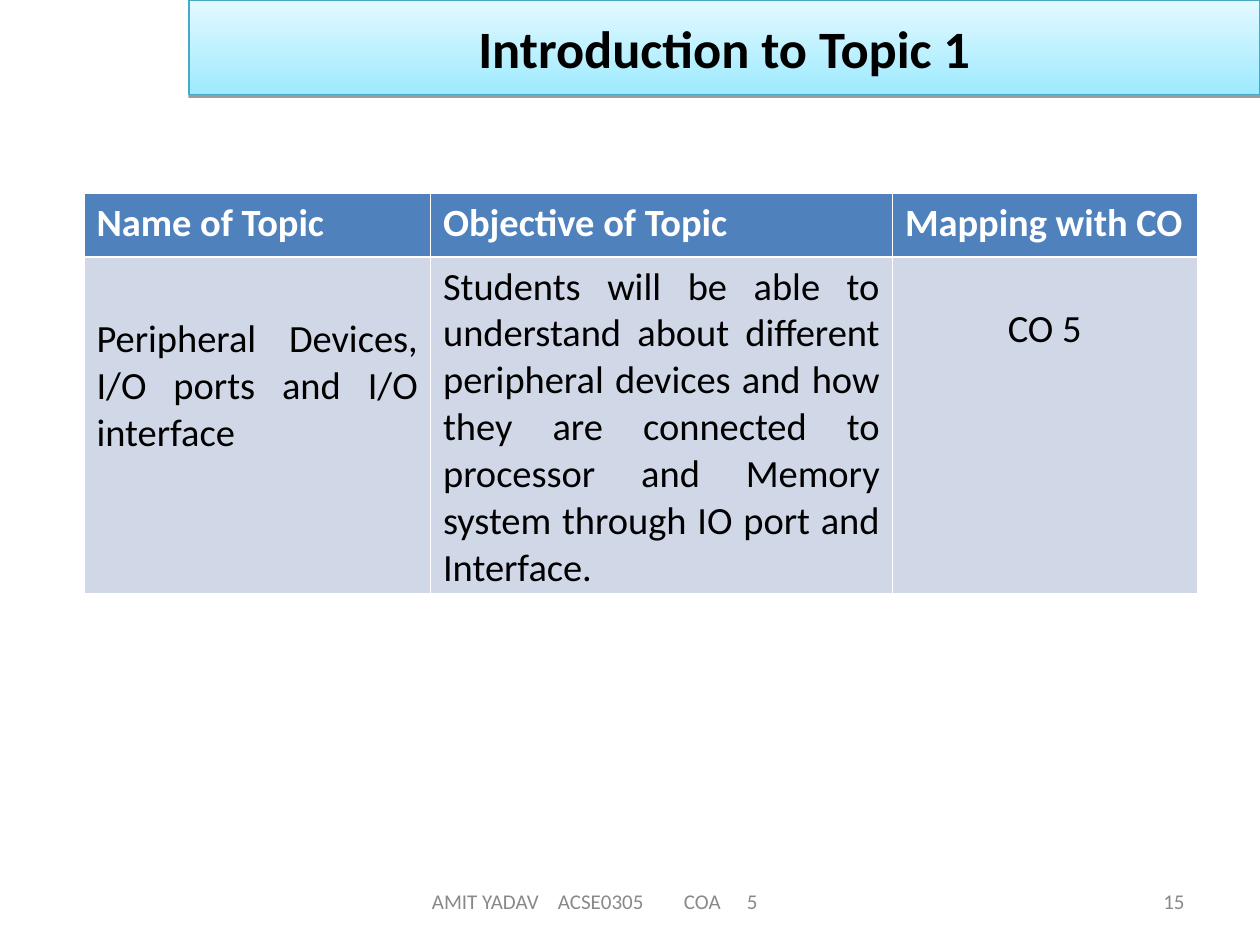
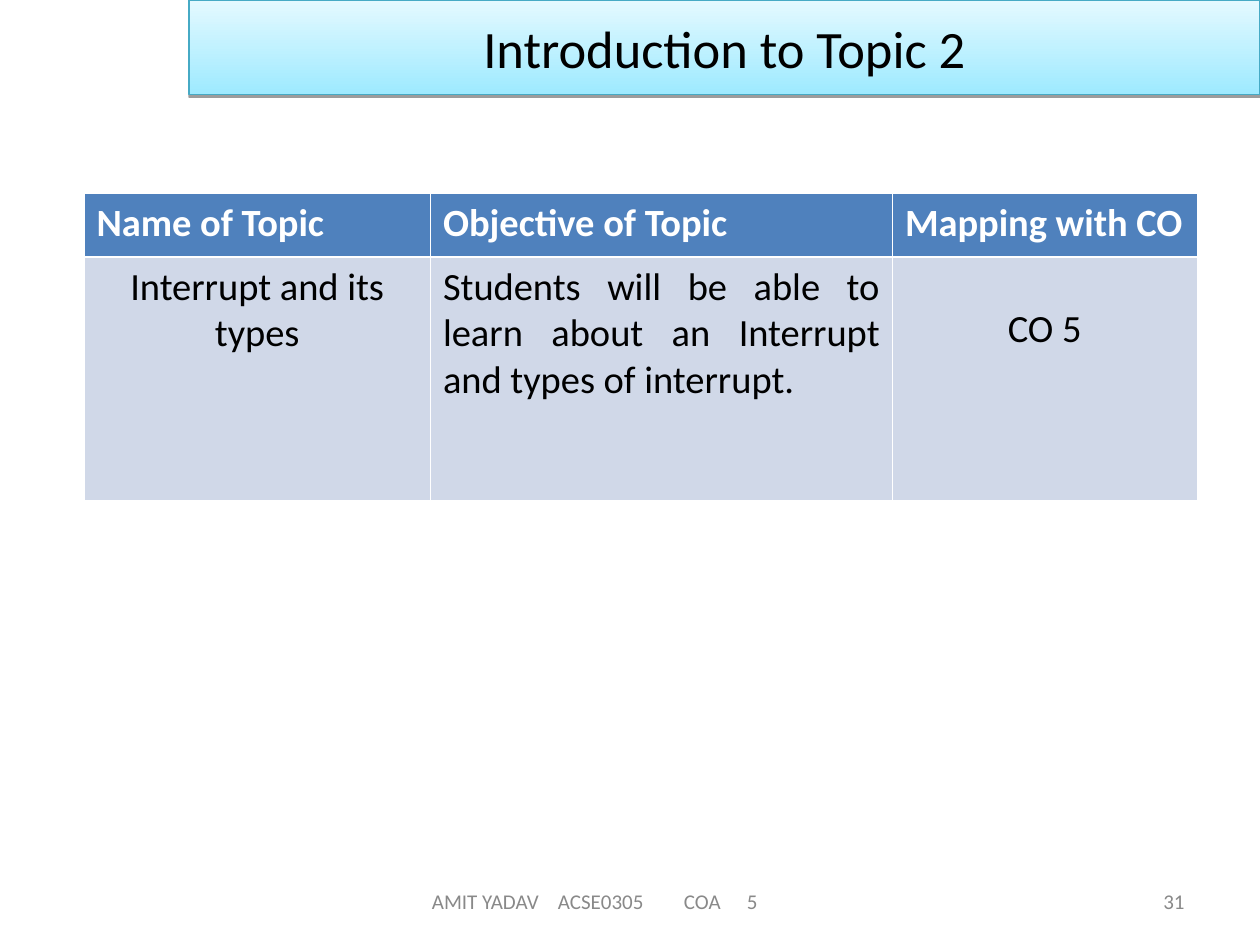
from lxml.etree import SubElement
from pptx import Presentation
from pptx.dml.color import RGBColor
from pptx.enum.text import MSO_ANCHOR, MSO_AUTO_SIZE, PP_ALIGN
from pptx.oxml.ns import qn
from pptx.util import Inches, Pt

# Shared style
FONT = "Calibri"
BLACK, WHITE, GREY = "000000", "FFFFFF", "898989"
BAND_BOTTOM, BAND_TOP, BAND_LINE = "9EEAFF", "E4F9FF", "46AAC5"
HEADER_FILL, BODY_FILL = "4F81BD", "D0D8E8"
THIN, THICK = 0.45, 1.47

# Boxes on a grid of 120 columns and 90 rows: left, top, width, height
COLUMNS, ROWS = 120, 90
SLIDE_WIDTH, SLIDE_HEIGHT = Inches(10), Inches(7.5)
TITLE_BOX = (18, 0, 102, 9)
FOOTER_BOX = (33, 83.4, 66, 4.8)
NUMBER_BOX = (86, 83.4, 28, 4.8)
TABLE_LEFT, TABLE_TOP = 8, 18.4
TABLE_COLUMNS = (33, 44, 29)
HEADER_ROW = 6.1

HEADINGS = ("Name of Topic", "Objective of Topic", "Mapping with CO")
FOOTER_TEXT = "AMIT YADAV\tACSE0305\tCOA\t5"
FOOTER_INDENT = 0.58
FOOTER_TABS = (1.57, 2.88, 4.04)
CELL_MARGIN = 0.05

# Each body cell: text, alignment, top margin in inches
CO_CELL = ("CO 5", PP_ALIGN.CENTER, 0.39)
TOPICS = [
    dict(title="Introduction to Topic 1", bold_title=True, number="15", body_row=32, cells=(
        ("Peripheral Devices, I/O ports and I/O interface", PP_ALIGN.JUSTIFY, 0.47),
        ("Students will be able to understand about different peripheral devices "
         "and how they are connected to processor and Memory system through IO port "
         "and Interface.", PP_ALIGN.JUSTIFY, CELL_MARGIN),
        CO_CELL)),
    dict(title="Introduction to Topic 2", bold_title=False, number="31", body_row=23.2, cells=(
        ("Interrupt and its types", PP_ALIGN.CENTER, CELL_MARGIN),
        ("Students will be able to learn about an Interrupt and types of interrupt.",
         PP_ALIGN.JUSTIFY, CELL_MARGIN),
        CO_CELL)),
]


def color(value):
    return RGBColor.from_string(value)


def across(columns):
    return round(SLIDE_WIDTH * columns / COLUMNS)


def down(rows):
    return round(SLIDE_HEIGHT * rows / ROWS)


def place(box):
    left, top, width, height = box
    return across(left), down(top), across(width), down(height)


def write(frame, text, size=22, fill=BLACK, bold=False, align=PP_ALIGN.LEFT):
    """Fill a text frame with one formatted paragraph."""
    paragraph = frame.paragraphs[0]
    paragraph.alignment = align
    run = paragraph.add_run()
    run.text = text
    run.font.name, run.font.size, run.font.bold = FONT, Pt(size), bold
    run.font.color.rgb = color(fill)
    return paragraph


def add_solid_color(parent, value, tag="a:srgbClr"):
    return SubElement(parent, qn(tag), val=value)


def add_title(slide, text, bold, box):
    title = slide.shapes.title
    title.left, title.top, title.width, title.height = place(box)
    # Gradient band with outline
    title.fill.gradient()
    title.fill.gradient_angle = 90
    for stop, value in zip(title.fill.gradient_stops, (BAND_BOTTOM, BAND_TOP)):
        stop.color.rgb = color(value)
    title.line.color.rgb = color(BAND_LINE)
    title.line.width = Pt(0.75)
    # Shadow below the band
    effects = SubElement(title._element.spPr, qn("a:effectLst"))
    shadow = SubElement(effects, qn("a:outerShdw"), blurRad="0", dist=str(Pt(1.6)),
                        dir="5400000", rotWithShape="0")
    shadow_color = add_solid_color(shadow, BLACK)
    add_solid_color(shadow_color, "38000", "a:alpha")
    frame = title.text_frame
    frame.auto_size = MSO_AUTO_SIZE.NONE
    frame.vertical_anchor = MSO_ANCHOR.MIDDLE
    write(frame, text, size=30, bold=bold, align=PP_ALIGN.CENTER)


def add_footer_text(slide, text, box, align):
    frame = slide.shapes.add_textbox(*place(box)).text_frame
    frame.word_wrap = True
    frame.vertical_anchor = MSO_ANCHOR.MIDDLE
    return write(frame, text, size=12, fill=GREY, align=align)


def add_footer(slide, number):
    paragraph = add_footer_text(slide, FOOTER_TEXT, FOOTER_BOX, PP_ALIGN.LEFT)
    properties = paragraph._p.get_or_add_pPr()
    properties.set("marL", str(Inches(FOOTER_INDENT)))
    properties.set("indent", "0")
    tabs = SubElement(properties, qn("a:tabLst"))
    for position in FOOTER_TABS:
        SubElement(tabs, qn("a:tab"), pos=str(Inches(FOOTER_INDENT + position)), algn="l")
    add_footer_text(slide, number, NUMBER_BOX, PP_ALIGN.RIGHT)


def style_cell(cell, fill, top_line, bottom_line):
    """Draw white borders, then fill the cell."""
    properties = cell._tc.get_or_add_tcPr()
    for side, width in zip("LRTB", (THIN, THIN, top_line, bottom_line)):
        line = SubElement(properties, qn(f"a:ln{side}"), w=str(Pt(width)))
        add_solid_color(SubElement(line, qn("a:solidFill")), WHITE)
    cell.fill.solid()
    cell.fill.fore_color.rgb = color(fill)


def add_topic_table(slide, cells, body_row):
    box = (TABLE_LEFT, TABLE_TOP, sum(TABLE_COLUMNS), HEADER_ROW + body_row)
    table = slide.shapes.add_table(2, len(HEADINGS), *place(box)).table
    for row, height in zip(table.rows, (HEADER_ROW, body_row)):
        row.height = down(height)
    for index, (heading, width, content) in enumerate(zip(HEADINGS, TABLE_COLUMNS, cells)):
        table.columns[index].width = across(width)
        header, body = table.cell(0, index), table.cell(1, index)
        style_cell(header, HEADER_FILL, THIN, THICK)
        write(header.text_frame, heading, fill=WHITE, bold=True)
        style_cell(body, BODY_FILL, THICK, THIN)
        text, align, top_margin = content
        body.margin_top = Inches(top_margin)
        write(body.text_frame, text, align=align)


def add_topic_slide(presentation, topic):
    slide = presentation.slides.add_slide(presentation.slide_layouts[5])
    add_footer(slide, topic["number"])
    add_title(slide, topic["title"], topic["bold_title"], TITLE_BOX)
    add_topic_table(slide, topic["cells"], topic["body_row"])


def main():
    presentation = Presentation()
    presentation.slide_width, presentation.slide_height = SLIDE_WIDTH, SLIDE_HEIGHT
    for topic in TOPICS:
        add_topic_slide(presentation, topic)
    presentation.save("out.pptx")


if __name__ == "__main__":
    main()
